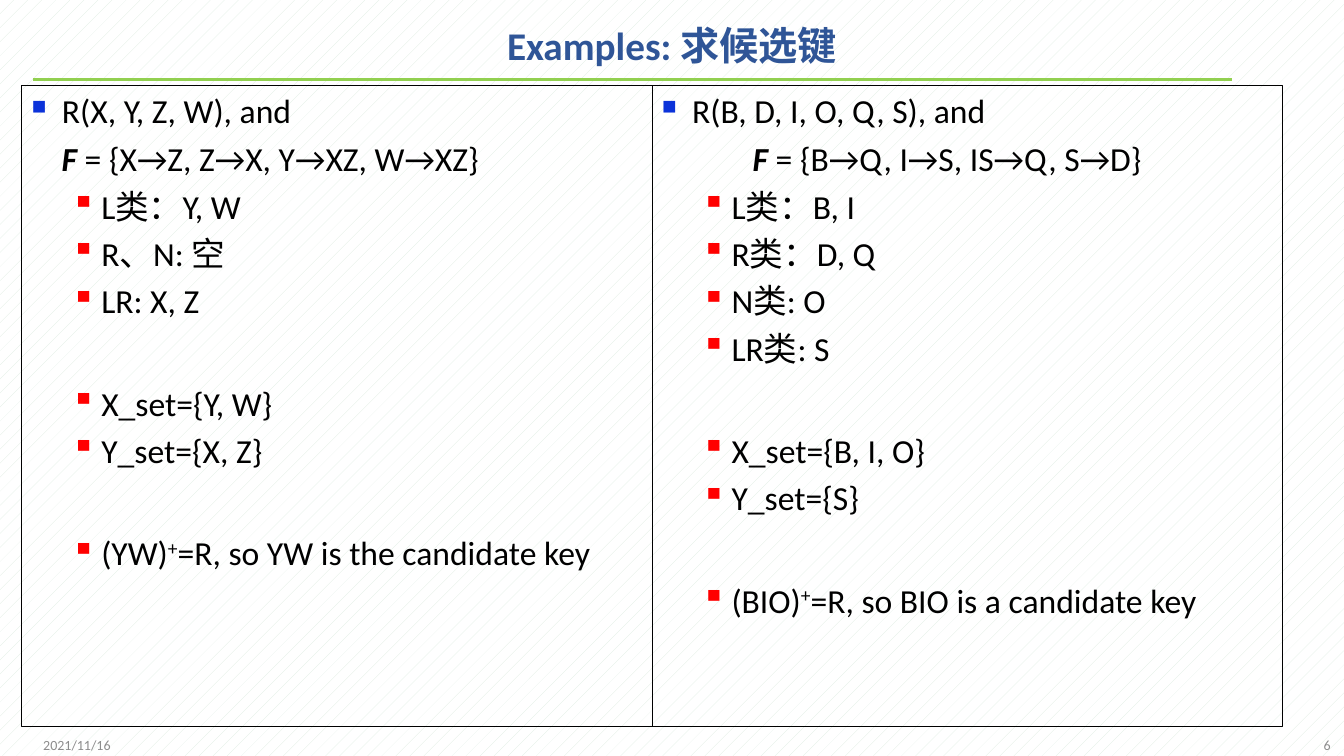
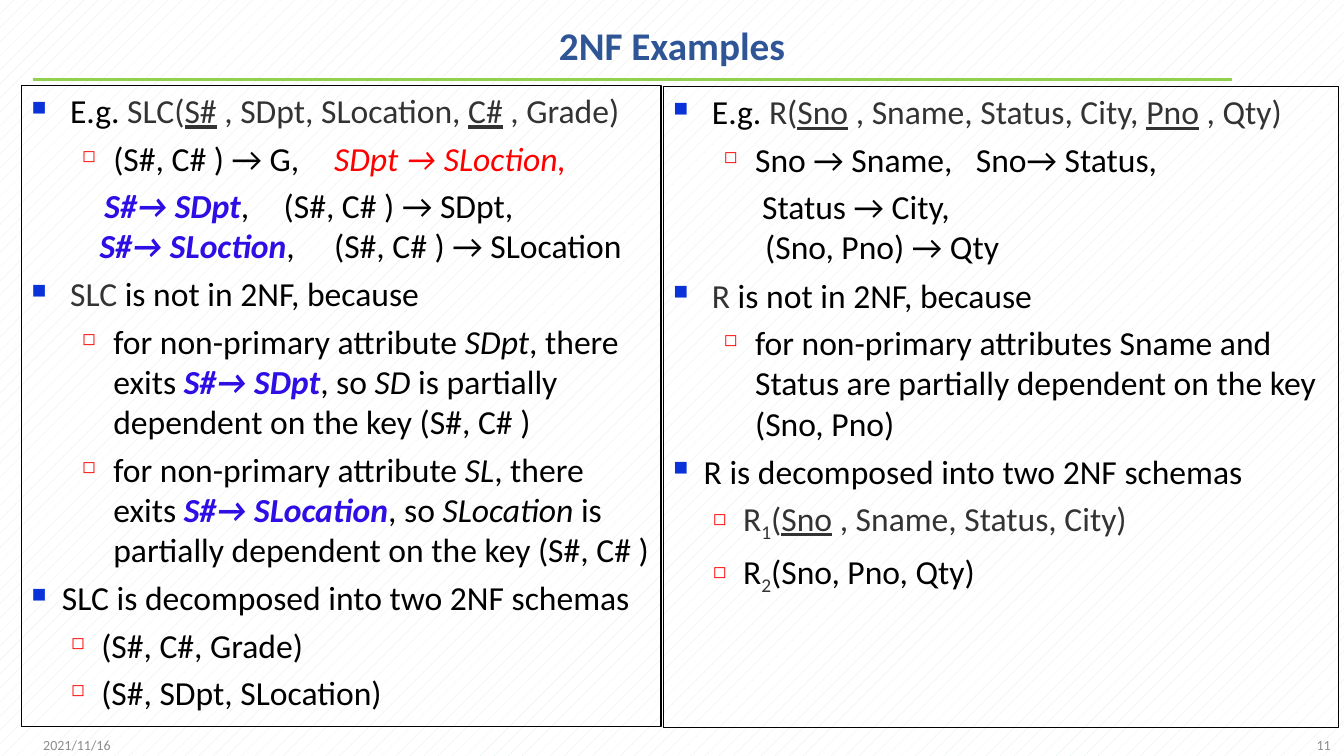
from lxml.etree import SubElement
from pptx import Presentation
from pptx.dml.color import RGBColor
from pptx.enum.dml import MSO_PATTERN
from pptx.enum.shapes import MSO_CONNECTOR, MSO_SHAPE
from pptx.enum.text import MSO_ANCHOR, PP_ALIGN
from pptx.oxml.ns import qn
from pptx.util import Pt

BLACK = RGBColor(0x00, 0x00, 0x00)
WHITE = RGBColor(0xFF, 0xFF, 0xFF)
MINT = RGBColor(0xDC, 0xEC, 0xE0)
GREEN = RGBColor(0x92, 0xD0, 0x50)
NAVY = RGBColor(0x2F, 0x55, 0x97)
GREY = RGBColor(0x8C, 0x8C, 0x8C)
DARK = RGBColor(0x33, 0x33, 0x33)
BLUE = RGBColor(0x0B, 0x32, 0xD9)
VIOLET = RGBColor(0x2D, 0x0E, 0xE4)
RED = RGBColor(0xFF, 0x00, 0x00)

FONT = "Calibri"
SLIDE_SIZE = (960, 540)
TITLE_BOX = (24.5, 6.5, 911, 55.5)
DATE_BOX = (23.8, 517.7, 216, 28.8)
NUMBER_BOX = (741.6, 517.7, 216, 28.8)
BLANK_LINE = 34.3

STYLES = {
    "": {},
    "dark": {"color": DARK},
    "key": {"color": DARK, "underline": True},
    "dark sub": {"color": DARK, "baseline": -25000},
    "sup": {"baseline": 30000},
    "italic": {"italic": True},
    "set": {"bold": True, "italic": True},
    "partial": {"color": VIOLET, "bold": True, "italic": True},
    "transitive": {"color": RED, "italic": True},
}

HEAD = {"margin": 21.6, "hang": 21.6, "before": 5.6, "bullet": ("■", BLUE, 60)}
WIDE_HEAD = {**HEAD, "margin": 27.4, "hang": 27.4}
ITEM = {"level": 1, "margin": 49.7, "hang": 21.6, "before": 5, "bullet": ("▪", RED, 100)}
GAP_ITEM = {**ITEM, "before": 2 * ITEM["before"] + BLANK_LINE}
BOX_ITEM = {**ITEM, "bullet": ("◻", RED, 50)}
WIDE_BOX = {**BOX_ITEM, "margin": 58.3, "hang": 22.3}


def plain(start, before=0, tab=None):
    """Return the format of a line without a bullet that starts at a given indent."""
    return {"margin": 0, "hang": -start, "before": before, "tab": tab}


KEYS_LEFT = [
    (HEAD, "R(X, Y, Z, W), and"),
    (plain(21.4, 5.6), ("F", "set"), " = {X→Z, Z→X, Y→XZ, W→XZ}"),
    (ITEM, "L类：Y, W"),
    (ITEM, "R、N: 空"),
    (ITEM, "LR: X, Z"),
    (GAP_ITEM, "X_set={Y, W}"),
    (ITEM, "Y_set={X, Z}"),
    (GAP_ITEM, "(YW)", ("+", "sup"), "=R, so YW is the candidate key"),
]
KEYS_RIGHT = [
    (HEAD, "R(B, D, I, O, Q, S), and"),
    (plain(64.8, 5.6), ("F", "set"), " = {B→Q, I→S, IS→Q, S→D}"),
    (ITEM, "L类：B, I"),
    (ITEM, "R类：D, Q"),
    (ITEM, "N类: O"),
    (ITEM, "LR类: S"),
    (GAP_ITEM, "X_set={B, I, O}"),
    (ITEM, "Y_set={S}"),
    (GAP_ITEM, "(BIO)", ("+", "sup"), "=R, so BIO is a candidate key"),
]
NF_LEFT = [
    (WIDE_HEAD, "E.g. ", ("SLC(", "dark"), ("S#", "key"),
     (" , SDpt, SLocation, ", "dark"), ("C#", "key"), (" , Grade)", "dark")),
    (WIDE_BOX, "(S#, C# ) → G,\t", ("SDpt → SLoction,", "transitive")),
    (plain(52, 5, 220.5), ("S#→ SDpt", "partial"), ",\t(S#, C# ) → SDpt,"),
    (plain(48.5, 0, 226), ("S#→ SLoction", "partial"), ",\t(S#, C# ) → SLocation"),
    (WIDE_HEAD, ("SLC", "dark"), " is not in 2NF, because"),
    (WIDE_BOX, "for non-primary attribute ", ("SDpt", "italic"), ", there exits ",
     ("S#→ SDpt", "partial"), ", so ", ("SD", "italic"),
     " is partially dependent on the key (S#, C# )"),
    (WIDE_BOX, "for non-primary attribute ", ("SL", "italic"), ", there exits ",
     ("S#→ SLocation", "partial"), ", so ", ("SLocation", "italic"),
     " is partially dependent on the key (S#, C# )"),
    (HEAD, "SLC is decomposed into two 2NF schemas"),
    (BOX_ITEM, "(S#, C#, Grade)"),
    (BOX_ITEM, "(S#, SDpt, SLocation)"),
]
NF_RIGHT = [
    (WIDE_HEAD, "E.g. ", ("R(", "dark"), ("Sno", "key"),
     (" , Sname, Status, City, ", "dark"), ("Pno", "key"), (" , Qty)", "dark")),
    (WIDE_BOX, "Sno → Sname,\tSno→ Status,"),
    (plain(63.3, 5), "Status → City,"),
    (plain(65.5), "(Sno, Pno) → Qty"),
    (WIDE_HEAD, ("R", "dark"), " is not in 2NF, because"),
    (WIDE_BOX, "for non-primary attributes Sname and Status are partially "
     "dependent on the key (Sno, Pno)"),
    (HEAD, "R is decomposed into two 2NF schemas"),
    (BOX_ITEM, ("R", "dark"), ("1", "dark sub"), ("(", "dark"), ("Sno", "key"),
     (" , Sname, Status, City)", "dark")),
    (BOX_ITEM, "R", ("2", "dark sub"), "(Sno, Pno, Qty)"),
]


def add_run(p, text, size, color=BLACK, baseline=None, **values):
    """Add a run and set its font from the given values."""
    r = p.add_run()
    r.text = text
    for name, value in {"name": FONT, "size": Pt(size), **values}.items():
        setattr(r.font, name, value)
    r.font.color.rgb = color
    if baseline:
        r.font._element.set("baseline", str(baseline))


def format_paragraph(p, margin, hang, before, level=0, bullet=None, tab=None):
    """Set the indents, spacing, bullet and tab stop of a paragraph."""
    p.level = level
    pPr = p._p.get_or_add_pPr()
    pPr.set("marL", str(Pt(margin)))
    pPr.set("indent", str(Pt(-hang)))
    if bullet:
        char, color, percent = bullet
        clr = SubElement(pPr, qn("a:buClr"))
        SubElement(clr, qn("a:srgbClr"), val=str(color))
        SubElement(pPr, qn("a:buSzPct"), val=str(percent * 1000))
        SubElement(pPr, qn("a:buChar"), char=char)
    else:
        SubElement(pPr, qn("a:buNone"))
    if tab:
        tabs = SubElement(pPr, qn("a:tabLst"))
        SubElement(tabs, qn("a:tab"), pos=str(Pt(tab)), algn="l")
    p.space_before = Pt(before)


def add_label(s, box, text, size, align, **values):
    """Add a one-line text box centred vertically in its box."""
    tf = s.shapes.add_textbox(*map(Pt, box)).text_frame
    tf.word_wrap = True
    tf.vertical_anchor = MSO_ANCHOR.MIDDLE
    p = tf.paragraphs[0]
    p.alignment = align
    add_run(p, text, size, **values)
    return p


def add_panel(s, box, lines):
    """Add an outlined panel filled with formatted lines."""
    sp = s.shapes.add_shape(MSO_SHAPE.RECTANGLE, *map(Pt, box))
    sp.shadow.inherit = False
    sp.fill.background()
    sp.line.color.rgb = BLACK
    sp.line.width = Pt(0.75)
    tf = sp.text_frame
    tf.word_wrap = True
    tf.vertical_anchor = MSO_ANCHOR.TOP
    for i, (layout, *runs) in enumerate(lines):
        p = tf.add_paragraph() if i else tf.paragraphs[0]
        format_paragraph(p, **{**layout, "before": layout["before"] if i else 0})
        p.alignment = PP_ALIGN.LEFT
        for run in runs:
            text, style = (run, "") if isinstance(run, str) else run
            add_run(p, text, 24, **STYLES[style])


def add_rule(s, left, top, width):
    """Add the green rule below the title."""
    line = s.shapes.add_connector(
        MSO_CONNECTOR.STRAIGHT, Pt(left), Pt(top), Pt(left + width), Pt(top))
    line.line.color.rgb = GREEN
    line.line.width = Pt(2.25)
    SubElement(line._element.spPr, qn("a:effectLst"))


def add_example_slide(prs, title, number, panels):
    """Add a titled slide with its panels, date and number."""
    s = prs.slides.add_slide(prs.slide_layouts[6])
    fill = s.background.fill
    fill.patterned()
    fill.pattern = MSO_PATTERN.PERCENT_5
    fill.fore_color.rgb = MINT
    fill.back_color.rgb = WHITE
    add_rule(s, 23.8, 56.7, 856)
    p = add_label(s, TITLE_BOX, title, 28, PP_ALIGN.CENTER, color=NAVY, bold=True)
    p.line_spacing = 0.9
    for box, lines in panels:
        add_panel(s, box, lines)
    add_label(s, DATE_BOX, "2021/11/16", 10, PP_ALIGN.LEFT, color=GREY)
    add_label(s, NUMBER_BOX, str(number), 10, PP_ALIGN.RIGHT, color=GREY)


def main():
    """Build and save the presentation."""
    prs = Presentation()
    prs.slide_width, prs.slide_height = map(Pt, SLIDE_SIZE)
    add_example_slide(prs, "Examples: 求候选键", 6, [
        ((15.6, 60.8, 450.2, 458.3), KEYS_LEFT),
        ((465.8, 60.8, 450.2, 458.3), KEYS_RIGHT),
    ])
    add_example_slide(prs, "2NF Examples", 11, [
        ((15.6, 60.8, 456.6, 458), NF_LEFT),
        ((474, 61.7, 482.4, 458), NF_RIGHT),
    ])
    prs.save("out.pptx")


if __name__ == "__main__":
    main()
